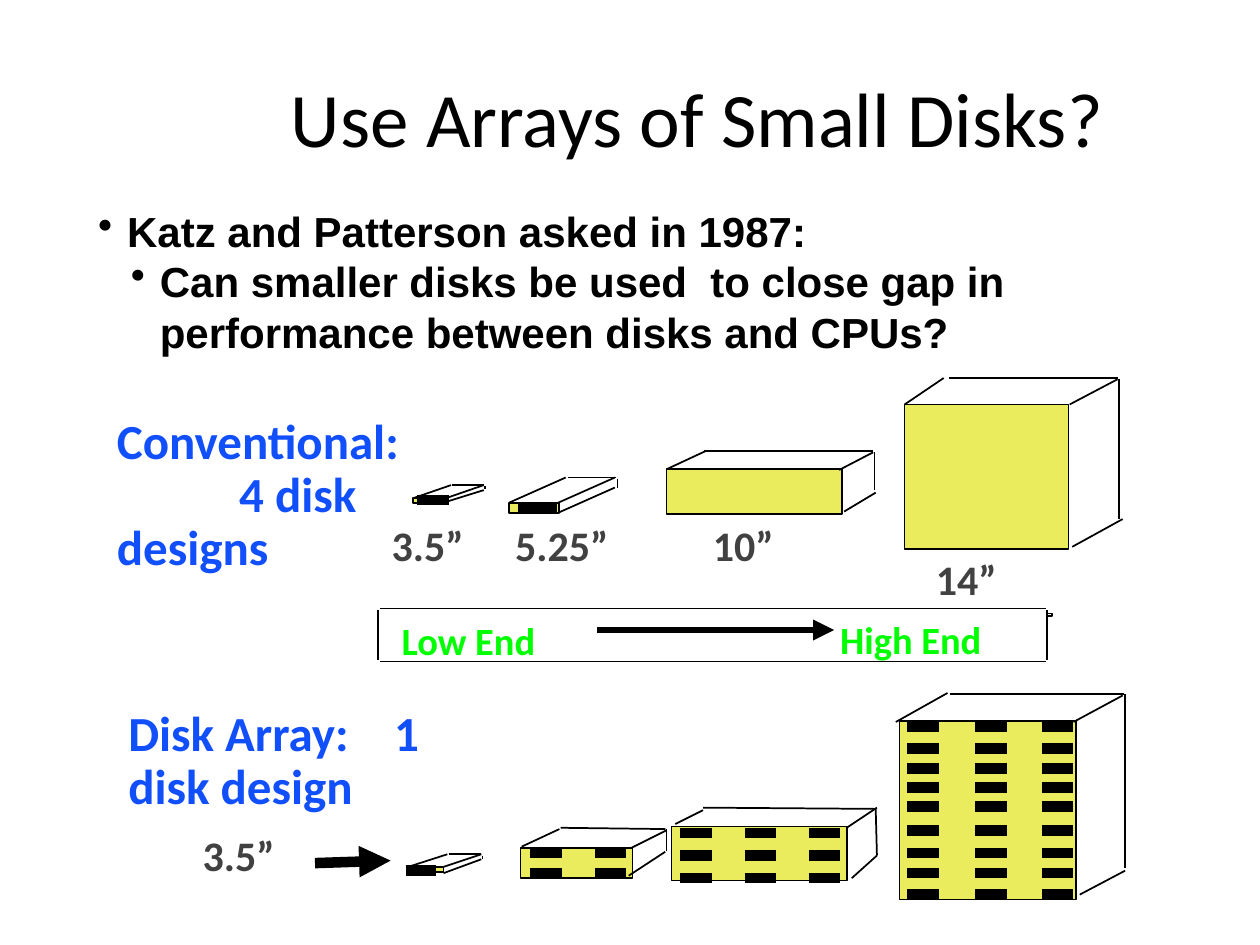
import pptx
import pptx.util
import pptx.dml.color
import pptx.enum.shapes
import pptx.enum.text
import pptx.oxml.ns
import lxml.etree
from pptx.util import Inches

BLACK = pptx.dml.color.RGBColor(0, 0, 0)
WHITE = pptx.dml.color.RGBColor(255, 255, 255)
YELLOW = pptx.dml.color.RGBColor(0xEA, 0xEC, 0x5E)
BLUE = pptx.dml.color.RGBColor(0x11, 0x4F, 0xFB)
GREEN = pptx.dml.color.RGBColor(0, 255, 0)
GRAY = pptx.dml.color.RGBColor(0x41, 0x41, 0x41)
qn = pptx.oxml.ns.qn

presentation = pptx.Presentation()
presentation.slide_width = Inches(10)
presentation.slide_height = Inches(7.5)
slide = presentation.slides.add_slide(presentation.slide_layouts[6])


def add_line(x1, y1, x2, y2, width=1, arrow=False):
    line = slide.shapes.add_connector(
        pptx.enum.shapes.MSO_CONNECTOR.STRAIGHT,
        Inches(x1), Inches(y1), Inches(x2), Inches(y2))
    line.line.color.rgb = BLACK
    line.line.width = pptx.util.Pt(width)
    if arrow:
        outline = line.line._get_or_add_ln()
        lxml.etree.SubElement(outline, qn("a:tailEnd"), type="triangle")
    lxml.etree.SubElement(line._element.spPr, qn("a:effectLst"))


def add_text(box, lines, size, color, font="Calibri", bold=True, spacing=0.9, before=0):
    shape = slide.shapes.add_textbox(*[Inches(value) for value in box])
    frame = shape.text_frame
    frame.word_wrap = True
    for index, text in enumerate(lines):
        paragraph = frame.paragraphs[0] if index == 0 else frame.add_paragraph()
        paragraph.line_spacing = spacing
        paragraph.space_before = pptx.util.Pt(0 if index else before)
        run = paragraph.add_run()
        run.text = text
        run.font.name = font
        run.font.size = pptx.util.Pt(size)
        run.font.bold = bold
        run.font.color.rgb = color
    return frame


# Title
title = add_text((1.08, 0.42, 8.91, 1.01), ["Use Arrays of Small Disks?"],
                 44, BLACK, bold=False, spacing=1.0)
title.vertical_anchor = pptx.enum.text.MSO_ANCHOR.MIDDLE
title.paragraphs[0].alignment = pptx.enum.text.PP_ALIGN.CENTER

# Bulleted question
question = add_text(
    (0.67, 1.58, 8.91, 1.3),
    ["Katz and Patterson asked in 1987:",
     "Can smaller disks be used  to close gap in performance between disks and CPUs?"],
    24, BLACK, font="Arial", spacing=1.0)
for level, (paragraph, margin) in enumerate(zip(question.paragraphs, (0.24, 0.5))):
    paragraph.level = level
    properties = paragraph._p.get_or_add_pPr()
    properties.set("marL", str(Inches(margin)))
    properties.set("indent", str(Inches(-0.23)))
    lxml.etree.SubElement(properties, qn("a:buChar"), char="•")

# Range bar from low end to high end
for x, label_y, label in ((3.09, 4.89, "Low End"), (6.57, 4.88, "High End")):
    add_text((x, label_y, 1.66, 0.43), [label], 22, GREEN, before=11)
add_line(4.74, 5, 6.62, 5, 4, arrow=True)
for y in (4.83, 5.25):
    add_line(3.02, y, 8.3, y)
for x in (3, 8.31):
    add_line(x, 4.84, x, 5.24)

# Disk cabinets: front (left, top, width, height, outline), then the receding edges
cabinets = [
    # Disk array row
    ((4.13, 6.73, 0.89, 0.24),
     [(4.14, 6.72, 4.44, 6.58), (5.01, 6.73, 5.29, 6.59), (4.99, 6.95, 5.28, 6.76),
      (4.45, 6.57, 5.28, 6.58), (5.29, 6.58, 5.29, 6.75)]),
    ((5.33, 6.56, 1.39, 0.43),
     [(5.36, 6.54, 5.58, 6.43), (6.72, 6.57, 6.96, 6.41), (6.76, 6.97, 6.96, 6.79),
      (5.58, 6.41, 6.95, 6.42), (6.95, 6.42, 6.96, 6.79)]),
    ((3.24, 6.88, 0.28, 0.04),
     [(3.24, 6.88, 3.55, 6.78), (3.52, 6.88, 3.82, 6.78), (3.52, 6.93, 3.82, 6.82),
      (3.56, 6.78, 3.82, 6.78), (3.83, 6.79, 3.83, 6.82)]),
    ((7.14, 5.72, 1.4, 1.42),
     [(7.11, 5.73, 7.52, 5.5), (8.52, 5.73, 8.91, 5.52), (8.57, 7.1, 8.93, 6.91),
      (7.54, 5.51, 8.92, 5.51), (8.93, 5.51, 8.93, 6.89)]),
    # Conventional row
    ((5.29, 3.72, 1.39, 0.36),
     [(5.3, 3.72, 5.6, 3.58), (6.66, 3.73, 6.93, 3.59), (6.7, 4.06, 6.95, 3.91),
      (5.59, 3.58, 6.93, 3.58), (6.94, 3.59, 6.94, 3.89)]),
    ((3.28, 3.95, 0.26, 0.04),
     [(3.29, 3.95, 3.58, 3.85), (3.55, 3.95, 3.84, 3.85), (3.55, 3.98, 3.84, 3.89),
      (3.59, 3.85, 3.84, 3.85), (3.85, 3.86, 3.85, 3.88)]),
    ((4.04, 3.99, 0.4, 0.08),
     [(4.04, 3.99, 4.49, 3.79), (4.43, 3.99, 4.88, 3.79), (4.43, 4.07, 4.88, 3.87),
      (4.51, 3.79, 4.89, 3.79), (4.9, 3.8, 4.9, 3.87)]),
    ((7.18, 3.21, 1.3, 1.15),
     [(7.18, 3.21, 7.49, 3), (8.49, 3.21, 8.87, 3.01), (8.51, 4.34, 8.91, 4.12),
      (7.53, 3, 8.87, 3), (8.88, 3.01, 8.88, 4.12)]),
]
range_tab = ((8.31, 4.87, 0.04, 0.02), [])
for front, edges in [range_tab] + cabinets:
    shape = slide.shapes.add_shape(pptx.enum.shapes.MSO_SHAPE.RECTANGLE,
                                   *[Inches(value) for value in front])
    shape.shadow.inherit = False
    shape.fill.solid()
    shape.fill.fore_color.rgb = YELLOW if edges else WHITE
    shape.line.color.rgb = BLACK
    shape.line.width = pptx.util.Pt(1)
    for edge in edges:
        add_line(*edge)

# Small disks inside the cabinets: column positions, row positions, length
disk_grids = [
    ((7.2, 7.74, 8.27), (5.77, 5.94, 6.1, 6.25, 6.4, 6.59, 6.77, 6.93, 7.1), 0.25),
    ((5.4, 5.91, 6.42), (6.61, 6.79, 6.97), 0.25),
    ((4.21, 4.72), (6.77, 6.93), 0.25),
    ((3.22,), (6.91,), 0.24),
    ((3.31,), (3.97,), 0.25),
    ((4.11,), (4.03,), 0.31),
]
for columns, rows, length in disk_grids:
    for x in columns:
        for y in rows:
            add_line(x, y, x + length, y, 6)
add_line(2.5, 6.85, 3.1, 6.83, 6, arrow=True)

# Disk size labels
for x, y, width, label in ((7.33, 4.39, 0.91, "14”"), (5.56, 4.12, 0.97, "10”"),
                           (3.99, 4.12, 1.36, "5.25”"), (3.01, 4.12, 1.36, "3.5”"),
                           (1.51, 6.58, 1.36, "3.5”")):
    add_text((x, y, width, 0.46), [label], 24, GRAY, before=12)

# Row headings
conventional = add_text((0.83, 3.26, 2.91, 1.36),
                        ["Conventional:", "4 disk", "designs"], 28, BLUE, before=14)
conventional.paragraphs[1]._p.get_or_add_pPr().set("marL", str(Inches(0.97)))
array = add_text((0.92, 5.58, 2.89, 0.94), ["Disk Array:\t1 disk design"],
                 28, BLUE, before=14)
tabs = lxml.etree.SubElement(array.paragraphs[0]._p.get_or_add_pPr(), qn("a:tabLst"))
lxml.etree.SubElement(tabs, qn("a:tab"), pos=str(Inches(2.11)), algn="l")

presentation.save("out.pptx")
